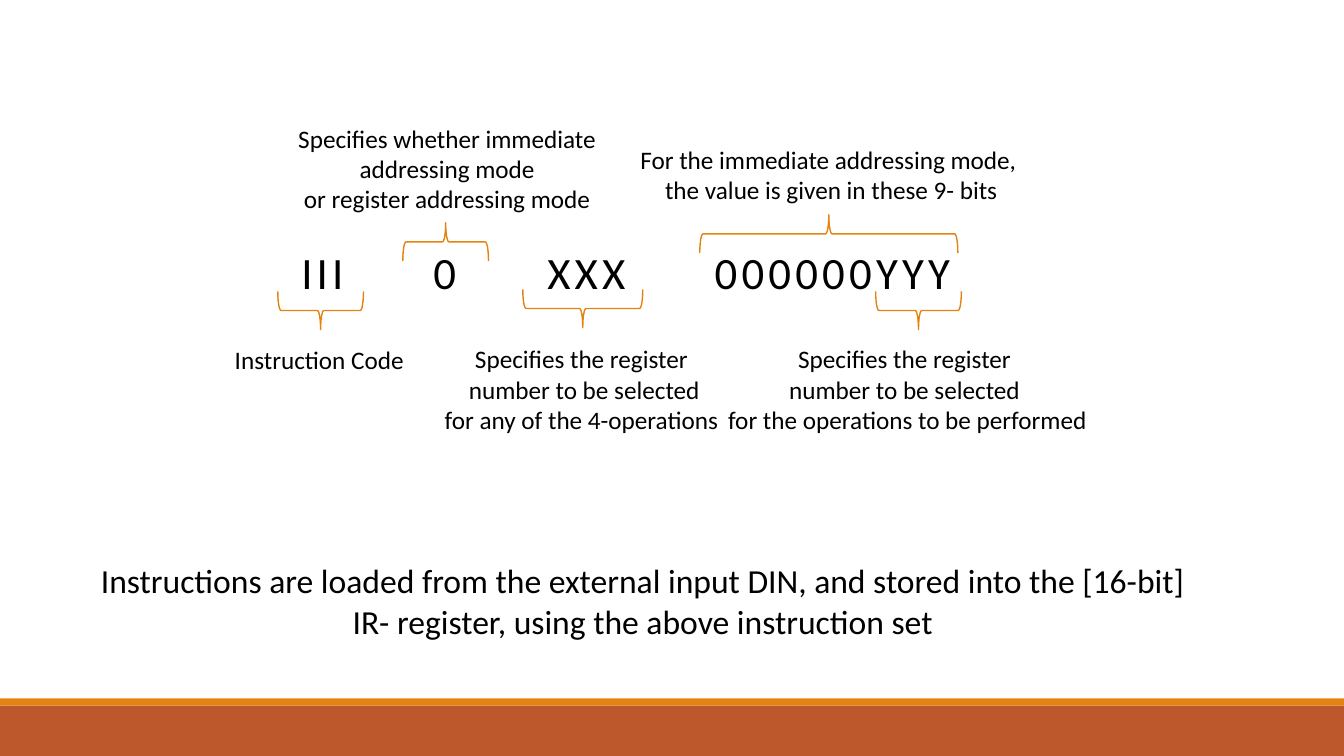
import pptx
import pptx.util
import pptx.dml.color
import pptx.enum.shapes
import pptx.enum.text
import pptx.oxml
import pptx.oxml.ns

Inches = pptx.util.Inches
ALIGN = pptx.enum.text.PP_ALIGN
SHAPE = pptx.enum.shapes.MSO_SHAPE
COLORS = {"text": "000000", "accent": "E48312", "footer": "BD582C"}


class SlideBuilder:
    font = "Calibri"
    brace_depth = 0.38

    def __init__(self, slide):
        self.slide = slide

    def color(self, name):
        return pptx.dml.color.RGBColor.from_string(COLORS[name])

    def bar(self, top, height, color):
        shape = self.slide.shapes.add_shape(
            SHAPE.RECTANGLE, 0, Inches(top), Inches(13.33), Inches(height))
        shape.shadow.inherit = False
        shape.fill.solid()
        shape.fill.fore_color.rgb = self.color(color)
        shape.line.fill.background()

    def brace(self, center_x, center_y, span, rotation):
        """Place a left brace by its centre, then turn it up or down."""
        shape = self.slide.shapes.add_shape(
            SHAPE.LEFT_BRACE,
            Inches(center_x - self.brace_depth / 2), Inches(center_y - span / 2),
            Inches(self.brace_depth), Inches(span))
        shape.rotation = rotation
        shape.shadow.inherit = False
        shape.fill.background()
        shape.line.color.rgb = self.color("accent")
        shape.line.width = pptx.util.Pt(1)

    def text(self, left, top, width, height, lines, size=18,
             align=ALIGN.CENTER, wrap=False):
        box = self.slide.shapes.add_textbox(
            Inches(left), Inches(top), Inches(width), Inches(height))
        frame = box.text_frame
        frame.word_wrap = wrap
        frame.auto_size = pptx.enum.text.MSO_AUTO_SIZE.SHAPE_TO_FIT_TEXT
        frame.text = "\n".join(lines)
        for paragraph in frame.paragraphs:
            paragraph.alignment = align
            for run in paragraph.runs:
                run.font.name = self.font
                run.font.size = pptx.util.Pt(size)
                run.font.color.rgb = self.color("text")
        return frame

    def fields(self, left, top, width, height, stops):
        """Write spaced-out fields on one line, each at its own tab stop."""
        line = "".join("\t" + field for field in stops)
        frame = self.text(left, top, width, height, [line], 32, ALIGN.LEFT, True)
        paragraph = frame.paragraphs[0]
        properties = paragraph._p.get_or_add_pPr()
        tabs = pptx.oxml.parse_xml(
            "<a:tabLst %s/>" % pptx.oxml.ns.nsdecls("a"))
        for position in stops.values():
            tabs.append(pptx.oxml.parse_xml(
                '<a:tab %s pos="%d" algn="l"/>'
                % (pptx.oxml.ns.nsdecls("a"), Inches(position))))
        properties.append(tabs)
        for run in paragraph.runs:
            run.font._element.set("spc", "300")


presentation = pptx.Presentation()
presentation.slide_width = Inches(13.33)
presentation.slide_height = Inches(7.5)
builder = SlideBuilder(
    presentation.slides.add_slide(presentation.slide_layouts[6]))

# Footer bars
builder.bar(7, 0.5, "footer")
builder.bar(6.93, 0.07, "accent")

# Instruction word
builder.fields(2.31, 2.38, 7.85, 0.64,
               {"III": 0.58, "0": 1.89, "XXX": 3.02, "000000YYY": 4.68})

# Braces: 270 points down, 90 points up
for brace in [
    (3.18, 3.08, 0.85, 270),
    (4.42, 2.4, 0.85, 90),
    (5.78, 3.06, 1.19, 270),
    (8.22, 2.32, 2.56, 90),
    (9.11, 3.08, 0.85, 270),
]:
    builder.brace(*brace)

# Labels above the word
builder.text(2.57, 1.17, 3.73, 1.01,
             ["Specifies whether immediate addressing mode",
              "or register addressing mode"], wrap=True)
builder.text(6.23, 1.38, 4.03, 0.71,
             ["For the immediate addressing mode, ",
              "the value is given in these 9- bits"])

# Labels below the word
builder.text(2.23, 3.37, 1.9, 0.4, ["Instruction Code"], align=ALIGN.LEFT)
builder.text(4.29, 3.36, 3.01, 1.01,
             ["Specifies the register ", "number to be selected",
              "for any of the 4-operations "])
builder.text(7.1, 3.36, 3.8, 1.01,
             ["Specifies the register ", "number to be selected ",
              "for the operations to be performed"])

# Summary
builder.text(0.81, 5.51, 11.13, 0.91,
             ["Instructions are loaded from the external input DIN, and stored "
              "into the [16-bit] IR- register, using the above instruction set"],
             size=24, wrap=True)

presentation.save("out.pptx")
